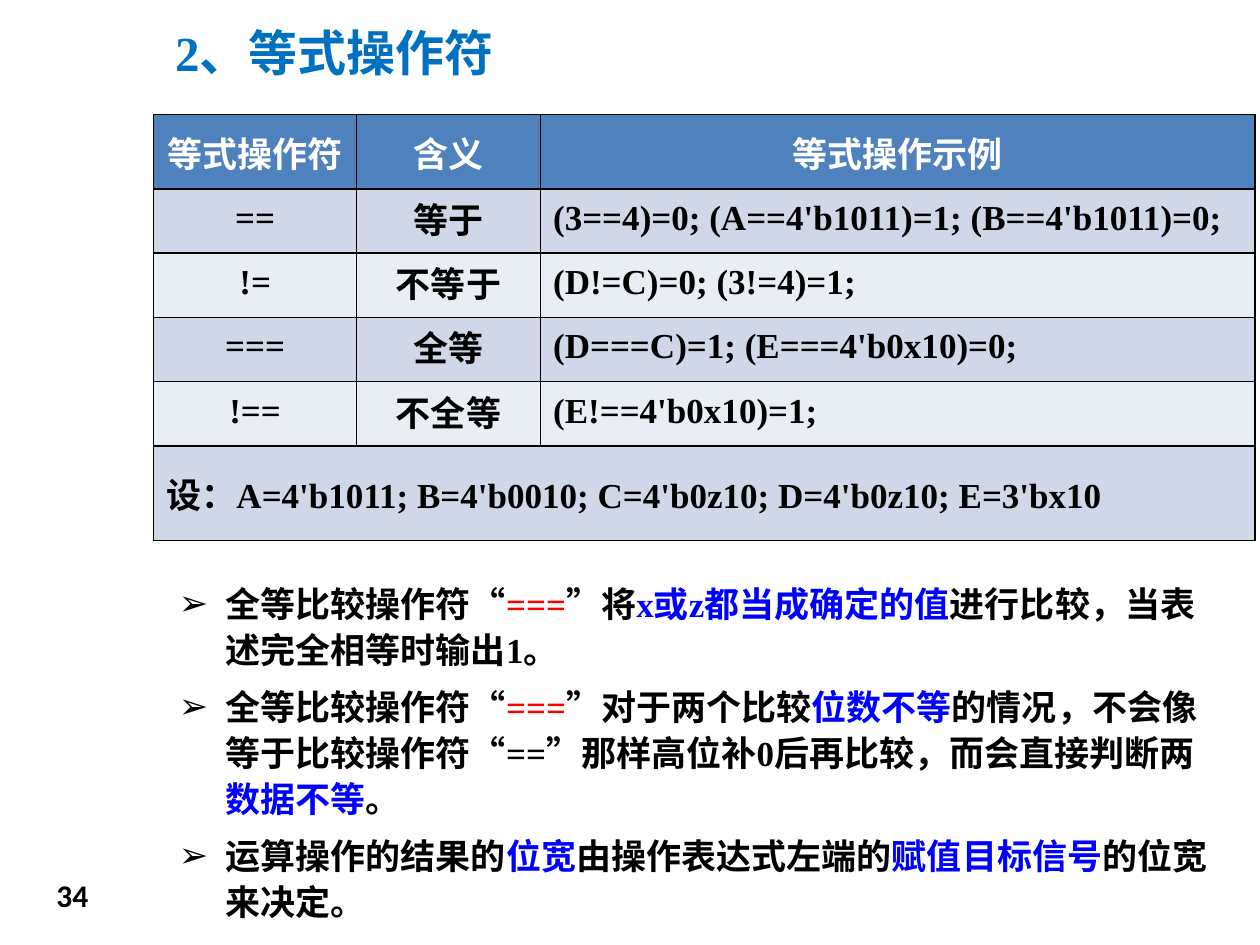
from lxml.etree import SubElement
from pptx import Presentation
from pptx.dml.color import RGBColor
from pptx.enum.text import MSO_ANCHOR, MSO_AUTO_SIZE, PP_ALIGN
from pptx.oxml.ns import qn
from pptx.util import Inches, Pt

WIDE, HIGH = Inches(10), Inches(7.5)
BLACK, WHITE, RED, BLUE = "000000", "FFFFFF", "FF0000", "0000FF"
SKY, HEAD, BANDS = "0070C0", "4F81BD", ("D0D8E8", "E9EDF4")
SERIF = "Times New Roman"

COLS = (16.1, 14.6, 56.7)
ROWS = (7.87, 6.8, 6.8, 6.8, 6.8, 10)
CELLS = (
    ("等式操作符", "含义", "等式操作示例"),
    ("==", "等于", "(3==4)=0; (A==4'b1011)=1; (B==4'b1011)=0;"),
    ("!=", "不等于", "(D!=C)=0; (3!=4)=1;"),
    ("===", "全等", "(D===C)=1; (E===4'b0x10)=0;"),
    ("!==", "不全等", "(E!==4'b0x10)=1;"),
    ("设：A=4'b1011; B=4'b0010; C=4'b0z10; D=4'b0z10; E=3'bx10",),
)
NOTES = (
    (("全等比较操作符“", BLACK), ("===", RED), ("”将", BLACK),
     ("x或z都当成确定的值", BLUE),
     ("进行比较，当表述完全相等时输出1。", BLACK)),
    (("全等比较操作符“", BLACK), ("===", RED), ("”对于两个比较", BLACK),
     ("位数不等", BLUE),
     ("的情况，不会像等于比较操作符“==”那样高位补0后再比较，而会直接判断两", BLACK),
     ("数据不等", BLUE), ("。", BLACK)),
    (("运算操作的结果的", BLACK), ("位宽", BLUE),
     ("由操作表达式左端的", BLACK), ("赋值目标信号", BLUE),
     ("的位宽来决定。", BLACK)),
)


def across(share):
    """Turn a percentage of the slide's width into a length."""
    return int(WIDE * share / 100)


def down(share):
    """Turn a percentage of the slide's height into a length."""
    return int(HIGH * share / 100)


def area(left, top, width, height):
    """Turn four percentages into a box."""
    return across(left), down(top), across(width), down(height)


def paint(target, hue):
    """Set a font colour or a fill from a hex string."""
    target.rgb = RGBColor.from_string(hue)


def write(para, text, hue, size=20, face=SERIF):
    """Add one bold run to a paragraph."""
    run = para.add_run()
    run.text = text
    run.font.name, run.font.size, run.font.bold = face, Pt(size), True
    paint(run.font.color, hue)


def place(shape, box):
    """Move a text shape into its box and return its frame."""
    shape.left, shape.top, shape.width, shape.height = box
    frame = shape.text_frame
    frame.word_wrap = True
    frame.auto_size = MSO_AUTO_SIZE.NONE
    return frame


def title(slide, box):
    """Fill the title placeholder."""
    frame = place(slide.shapes.title, box)
    frame.vertical_anchor = MSO_ANCHOR.MIDDLE
    para = frame.paragraphs[0]
    para.alignment = PP_ALIGN.LEFT
    write(para, "2、等式操作符", SKY, 28)


def edge(cell):
    """Draw thin black borders round a cell."""
    props = cell._tc.get_or_add_tcPr()
    for side in ("a:lnL", "a:lnR", "a:lnT", "a:lnB"):
        line = SubElement(props, qn(side), w=str(Pt(1)))
        fill = SubElement(line, qn("a:solidFill"))
        SubElement(fill, qn("a:srgbClr"), val=BLACK)


def grid(slide, box):
    """Build the operator table with its merged last row."""
    table = slide.shapes.add_table(len(ROWS), len(COLS), *box).table
    last = len(ROWS) - 1
    for col, share in zip(table.columns, COLS):
        col.width = across(share)
    for y, share in enumerate(ROWS):
        table.rows[y].height = down(share)
        for x in range(len(COLS)):
            cell = table.cell(y, x)
            edge(cell)
            cell.fill.solid()
            paint(cell.fill.fore_color, BANDS[(y - 1) % 2] if y and y < last
                  else BANDS[0] if y else HEAD)
    table.cell(last, 0).merge(table.cell(last, len(COLS) - 1))
    for y, row in enumerate(CELLS):
        for x, text in enumerate(row):
            cell = table.cell(y, x)
            cell.vertical_anchor = MSO_ANCHOR.MIDDLE
            para = cell.text_frame.paragraphs[0]
            if y == 0 or (y < last and x < 2):
                para.alignment = PP_ALIGN.CENTER
            if 0 < y < last:
                para.line_spacing = 0.8
            write(para, text, BLACK if y else WHITE)


def bullet(para):
    """Give a paragraph a black arrow and a hanging indent."""
    props = para._p.get_or_add_pPr()
    props.set("marL", str(Inches(0.37)))
    props.set("indent", str(Inches(-0.37)))
    hue = SubElement(props, qn("a:buClr"))
    SubElement(hue, qn("a:srgbClr"), val=BLACK)
    SubElement(props, qn("a:buChar"), char="➢")


def notes(slide, box):
    """Fill the body placeholder with the bulleted remarks."""
    frame = place(slide.placeholders[1], box)
    for i, parts in enumerate(NOTES):
        para = frame.add_paragraph() if i else frame.paragraphs[0]
        bullet(para)
        para.line_spacing = 1.1
        para.space_before, para.space_after = Pt(0), Pt(6)
        for text, hue in parts:
            write(para, text, hue)


def number(slide, box):
    """Write the page number."""
    frame = place(slide.shapes.add_textbox(*box), box)
    write(frame.paragraphs[0], "34", BLACK, 18, "Calibri")


def main():
    """Build and save the slide."""
    deck = Presentation()
    deck.slide_width, deck.slide_height = WIDE, HIGH
    slide = deck.slides.add_slide(deck.slide_layouts[1])
    title(slide, area(12.9, 1.73, 83.6, 7.6))
    notes(slide, area(13.2, 60.53, 84.4, 38.13))
    grid(slide, area(12.2, 12.13, sum(COLS), sum(ROWS)))
    number(slide, area(3.5, 92, 6.3, 6))
    deck.save("out.pptx")


if __name__ == "__main__":
    main()
